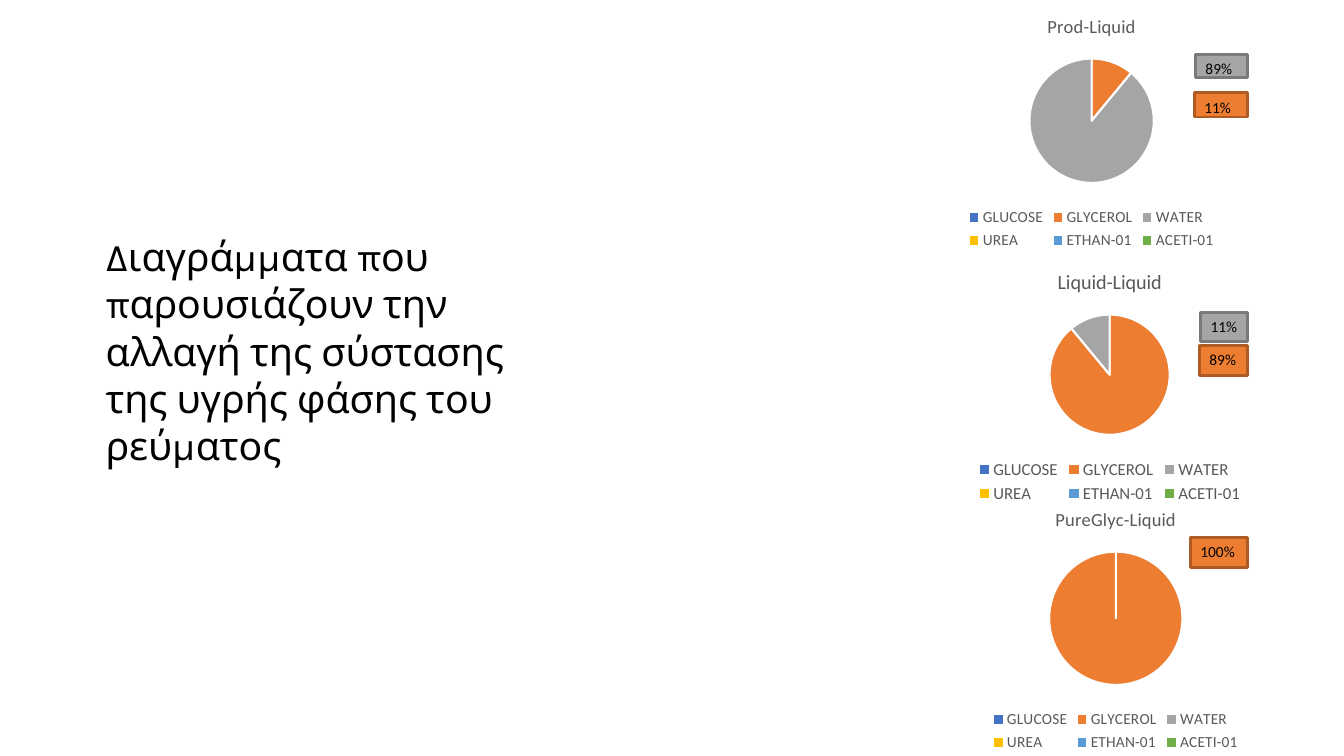
from collections import namedtuple
from dataclasses import dataclass

from pptx import Presentation
from pptx import util as u
from pptx.chart import data
from pptx.dml import color
from pptx.enum import chart as ce, shapes, text

Box = namedtuple("Box", "left top width height")
Tag = namedtuple("Tag", "label component top width height")
Stream = namedtuple("Stream", "name box shares title_size legend_size tags")


@dataclass(frozen=True)
class Theme:
    """Colours, fonts and type sizes of the slide."""
    ink: str = "000000"
    muted: str = "595959"
    separator: str = "FFFFFF"
    slices: tuple = ("4472C4", "ED7D31", "A5A5A5", "FFC000", "5B9BD5", "70AD47")
    edges: tuple = ("", "AF5C24", "7A7A7A")
    heading_font: str = "Karla"
    chart_font: str = "Calibri"
    base_font: str = "Arial"
    heading_size: float = 28
    tag_size: float = 11
    base_size: float = 10


THEME = Theme()
COMPONENTS = ("GLUCOSE", "GLYCEROL", "WATER", "UREA", "ETHAN-01", "ACETI-01")
GLYCEROL, WATER = 1, 2
TAG_RIGHT = 31.45
HEADING = "Διαγράμματα που παρουσιάζουν την αλλαγή της σύστασης της υγρής φάσης του ρεύματος"
STREAMS = (
    Stream("Liquid-Liquid", Box(22.68, 6.4, 10.57, 6.4), (0, 89, 11, 0, 0, 0), 14.4, 12,
           (Tag("11%", WATER, 1.47, 1.19, 0.74), Tag("89%", GLYCEROL, 2.31, 1.22, 0.76))),
    Stream("Prod-Liquid", Box(21.77, 0, 11.48, 6.4), (0, 11, 89, 0, 0, None), 13.2, 11,
           (Tag("89%", WATER, 1.37, 1.32, 0.58), Tag("11%", GLYCEROL, 2.34, 1.35, 0.61))),
    Stream("PureGlyc-Liquid", Box(22.38, 12.42, 11.48, 6.63), (0, 100, 0, 0, 0, 0), 13.2, 11,
           (Tag("100%", GLYCEROL, 1.12, 1.45, 0.76),)),
)


def lengths(box):
    """Turn a box in centimetres into slide lengths."""
    return [u.Cm(value) for value in box]


def style(font, name, size, colour):
    """Set typeface, size and colour of a font."""
    font.name, font.size, font.bold = name, u.Pt(size), False
    font.color.rgb = color.RGBColor.from_string(colour)


def add_heading(slide, box):
    """Place the heading in its box."""
    frame = slide.shapes.add_textbox(*lengths(box)).text_frame
    frame.word_wrap = True
    frame.auto_size = text.MSO_AUTO_SIZE.SHAPE_TO_FIT_TEXT
    frame.text = HEADING
    style(frame.paragraphs[0].runs[0].font, THEME.heading_font, THEME.heading_size, THEME.ink)


def add_pie(slide, stream, box):
    """Draw the composition of one stream as a pie with its legend."""
    composition = data.CategoryChartData()
    composition.categories = COMPONENTS
    composition.add_series("Series 1", stream.shares)
    pie = slide.shapes.add_chart(ce.XL_CHART_TYPE.PIE, *lengths(box), composition).chart
    style(pie.font, THEME.base_font, THEME.base_size, THEME.ink)
    pie.has_title = True
    pie.chart_title.include_in_layout = False
    title = pie.chart_title.text_frame
    title.text = stream.name
    style(title.paragraphs[0].runs[0].font, THEME.chart_font, stream.title_size, THEME.muted)
    pie.has_legend = True
    pie.legend.position = ce.XL_LEGEND_POSITION.BOTTOM
    pie.legend.include_in_layout = False
    style(pie.legend.font, THEME.chart_font, stream.legend_size, THEME.muted)
    plot = pie.plots[0]
    plot.vary_by_categories = True
    for index, fill in enumerate(THEME.slices):
        component = plot.series[0].points[index].format
        component.fill.solid()
        component.fill.fore_color.rgb = color.RGBColor.from_string(fill)
        component.line.color.rgb = color.RGBColor.from_string(THEME.separator)
        component.line.width = u.Pt(1.5)


def add_tag(slide, tag, box):
    """Place a percentage tag beside the pie, right-aligned with the others."""
    place = Box(TAG_RIGHT - tag.width, box.top + tag.top, tag.width, tag.height)
    share = slide.shapes.add_shape(shapes.MSO_SHAPE.RECTANGLE, *lengths(place))
    share.shadow.inherit = False
    share.fill.solid()
    share.fill.fore_color.rgb = color.RGBColor.from_string(THEME.slices[tag.component])
    share.line.color.rgb = color.RGBColor.from_string(THEME.edges[tag.component])
    share.line.width = u.Pt(2)
    frame = share.text_frame
    frame.vertical_anchor = text.MSO_ANCHOR.TOP
    frame.word_wrap = True
    frame.text = tag.label
    label = frame.paragraphs[0]
    label.alignment = text.PP_ALIGN.LEFT
    style(label.runs[0].font, THEME.chart_font, THEME.tag_size, THEME.ink)


def add_stream(slide, stream, box):
    """Place the pie of a stream and its percentage tags."""
    add_pie(slide, stream, box)
    for tag in stream.tags:
        add_tag(slide, tag, box)


def main():
    """Build and save the slide."""
    deck = Presentation()
    deck.slide_width, deck.slide_height = u.Cm(33.87), u.Cm(19.05)
    slide = deck.slides.add_slide(deck.slide_layouts[6])
    for stream in STREAMS:
        add_stream(slide, stream, stream.box)
    add_heading(slide, Box(2.41, 5.74, 11.89, 6.17))
    deck.save("out.pptx")


if __name__ == "__main__":
    main()
